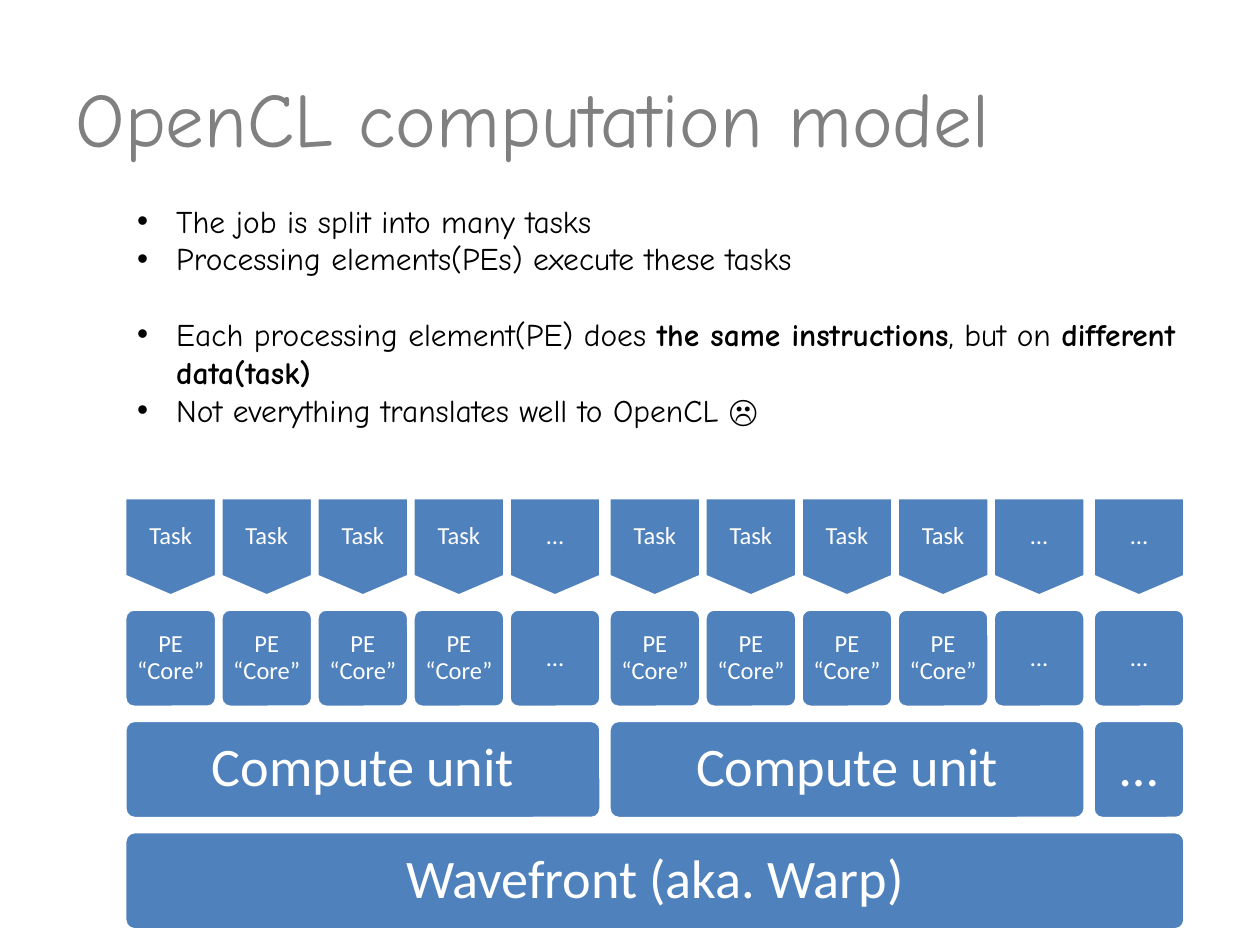
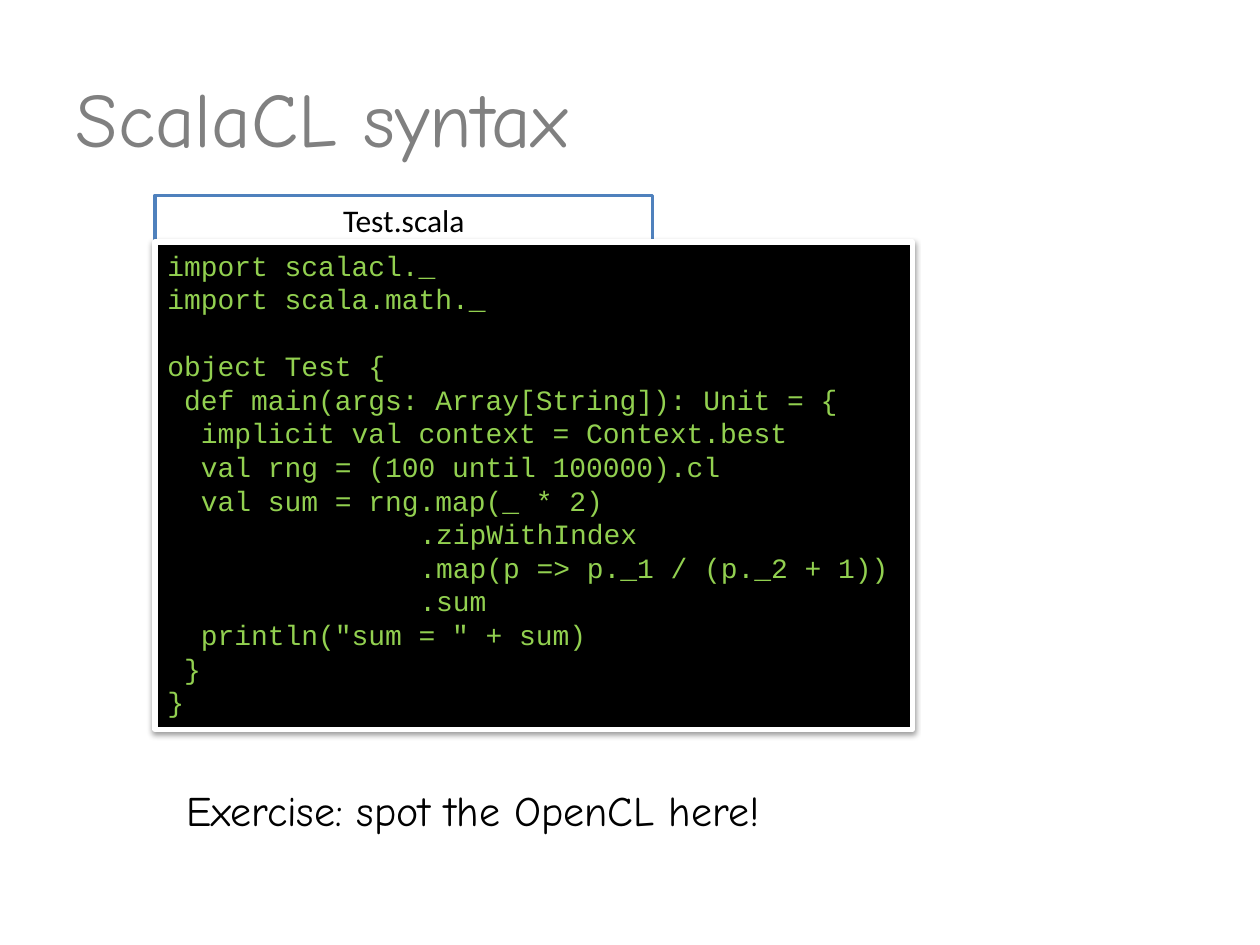
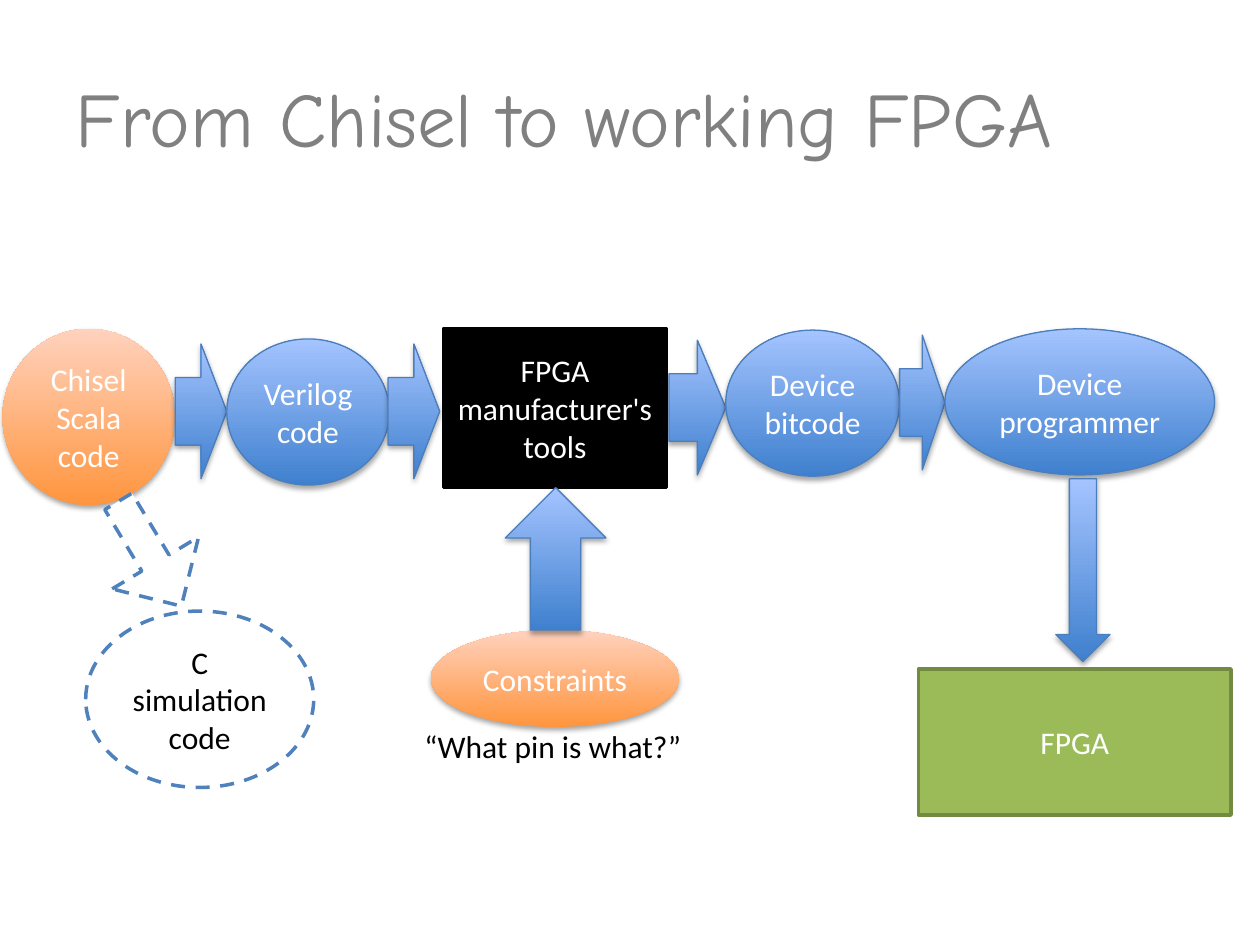
"""Build three slides on parallel and hardware programming."""
from lxml.etree import SubElement
from pptx import Presentation
from pptx.dml.color import RGBColor
from pptx.enum.dml import MSO_LINE
from pptx.enum.shapes import MSO_SHAPE as SHAPE
from pptx.enum.text import MSO_ANCHOR, MSO_AUTO_SIZE, PP_ALIGN
from pptx.oxml.ns import qn
from pptx.util import Inches, Pt

W, H = 10, 7.5
HAND, SANS, MONO = "Comic Neue", "Calibri", "Courier New"
WHITE, BLACK, GREY, BLUE = "FFFFFF", "000000", "808080", "4F81BD"
SHADOW = (35, 3.1, 1.8)

STYLES = {
    "blue": dict(fill=("3F80CE", "A4C4FF"), line="4B7EBC", width=0.75, shadow=SHADOW),
    "orange": dict(fill=("FF953E", "FFD2BD"), shadow=SHADOW),
    "black": dict(fill=BLACK, line=BLACK),
    "green": dict(fill="9BBB59", line="738A42"),
    "dashed": dict(fill=WHITE, line=BLUE, dash=True),
    "tile": dict(fill=BLUE, line=WHITE),
    "tab": dict(fill=WHITE, line=BLUE),
    "code": dict(fill=BLACK, line=WHITE, width=3, shadow=(38, 3.1, 1.6)),
}

POINTS = [
    "The job is split into many tasks",
    "Processing elements(PEs) execute these tasks",
    "",
    "Each processing element(PE) does **the same instructions**, but on **different data(task)**",
    "Not everything translates well to OpenCL \u2639",
]
TASKS = ["Task"] * 4 + ["…"]
CORES = ["PE “Core”"] * 4 + ["…"]
STACK = [
    (SHAPE.FLOWCHART_OFFPAGE_CONNECTOR, 14, [(t, 1) for t in TASKS * 2 + ["…"]]),
    (SHAPE.ROUNDED_RECTANGLE, 14, [(t, 1) for t in CORES * 2 + ["…"]]),
    (SHAPE.ROUNDED_RECTANGLE, 31, [("Compute unit", 5), ("Compute unit", 5), ("…", 1)]),
    (SHAPE.ROUNDED_RECTANGLE, 31, [("Wavefront (aka. Warp)", 11)]),
]

CODE = """import scalacl._
import scala.math._

object Test {
 def main(args: Array[String]): Unit = {
  implicit val context = Context.best
  val rng = (100 until 100000).cl
  val sum = rng.map(_ * 2)
               .zipWithIndex
               .map(p => p._1 / (p._2 + 1))
               .sum
  println("sum = " + sum)
 }
}""".split("\n")

CHAIN = [
    ("Chisel\nScala code", SHAPE.OVAL, "orange", 0.02, 2.61, 1.37, 1.4),
    ("", SHAPE.RIGHT_ARROW, "blue", 0, 2.73, 0.41, 1.07),
    ("Verilog\ncode", SHAPE.OVAL, "blue", 0, 2.69, 1.29, 1.16),
    ("", SHAPE.RIGHT_ARROW, "blue", -0.01, 2.73, 0.41, 1.07),
    ("FPGA manufacturer's\ntools", SHAPE.RECTANGLE, "black", 0.03, 2.61, 1.77, 1.26),
    ("", SHAPE.RIGHT_ARROW, "blue", 0.02, 2.7, 0.45, 1.07),
    ("Device bitcode", SHAPE.OVAL, "blue", 0, 2.62, 1.38, 1.16),
    ("", SHAPE.RIGHT_ARROW, "blue", 0, 2.66, 0.36, 1.07),
    ("Device\nprogrammer", SHAPE.OVAL, "blue", 0, 2.61, 2.14, 1.16),
]
BRANCHES = [
    ("C simulation code", SHAPE.OVAL, "dashed", (0.68, 4.85, 1.81, 1.4)),
    ("Constraints", SHAPE.OVAL, "orange", (3.42, 5, 1.97, 0.77)),
    ("", SHAPE.UP_ARROW, "blue", (4.01, 3.87, 0.8, 1.13)),
    ("", SHAPE.DOWN_ARROW, "blue", (8.38, 3.8, 0.43, 1.45)),
    ("FPGA", SHAPE.RECTANGLE, "green", (7.29, 5.31, 2.48, 1.16)),
]


def rgb(color):
    """Turn a hex string into a colour."""
    return RGBColor.from_string(color)


def write(tf, lines, size=18, font=SANS, color=BLACK, align=PP_ALIGN.LEFT,
          anchor=MSO_ANCHOR.TOP, inset=None, spacing=None, bullet=None, wrap=True):
    """Write lines; ** toggles bold, an empty line adds space, leading blanks indent."""
    tf.word_wrap, tf.vertical_anchor = wrap, anchor
    tf.auto_size = MSO_AUTO_SIZE.NONE
    if inset is not None:
        tf.margin_left = tf.margin_right = tf.margin_top = tf.margin_bottom = Inches(inset)
    p, gap = None, False
    for line in lines:
        if not line:
            gap = True
            continue
        p = tf.add_paragraph() if p is not None else tf.paragraphs[0]
        p.alignment = align
        if spacing:
            p.line_spacing = spacing
        if gap:
            p.space_before, gap = Pt(size * 1.2), False
        text = line.lstrip()
        pPr = p._p.get_or_add_pPr()
        if bullet:
            pPr.set("marL", str(Inches(0.31)))
            pPr.set("indent", str(-Inches(0.31)))
            SubElement(pPr, qn("a:buFont"), typeface="Arial")
            SubElement(pPr, qn("a:buChar"), char=bullet)
        elif text != line:
            pPr.set("marL", str(Pt((len(line) - len(text)) * size * 0.6)))
        for i, part in enumerate(text.split("**")):
            if part:
                r = p.add_run()
                r.text = part
                r.font.size, r.font.name, r.font.bold = Pt(size), font, i % 2 == 1
                r.font.color.rgb = rgb(color)


def add_text(s, box, lines, **fmt):
    """Add a text box."""
    write(s.shapes.add_textbox(*map(Inches, box)).text_frame, lines, **fmt)


def add_shape(s, kind, box, fill, line=None, width=2, dash=False, shadow=None):
    """Add a preset shape with its fill, line and shadow."""
    sp = s.shapes.add_shape(kind, *map(Inches, box))
    sp.shadow.inherit = False
    if isinstance(fill, tuple):
        sp.fill.gradient()
        sp.fill.gradient_angle = 90
        for stop, color in zip(sp.fill.gradient_stops, fill):
            stop.color.rgb = rgb(color)
    else:
        sp.fill.solid()
        sp.fill.fore_color.rgb = rgb(fill)
    if line:
        sp.line.color.rgb = rgb(line)
        sp.line.width = Pt(width)
    else:
        sp.line.fill.background()
    if dash:
        sp.line.dash_style = MSO_LINE.DASH
    if shadow:
        alpha, blur, dist = shadow
        effects = sp._element.spPr.find(qn("a:effectLst"))
        outer = SubElement(effects, qn("a:outerShdw"), blurRad=str(Pt(blur)),
                           dist=str(Pt(dist)), dir="5400000", rotWithShape="0")
        clr = SubElement(outer, qn("a:srgbClr"), val=BLACK)
        SubElement(clr, qn("a:alpha"), val=str(alpha * 1000))
    return sp


def add_node(s, text, kind, style, box, **fmt):
    """Add a styled shape with centred text."""
    sp = add_shape(s, kind, box, **STYLES[style])
    if text:
        fmt = dict(color=BLACK if style in ("dashed", "tab") else WHITE) | fmt
        write(sp.text_frame, text.split("\n"), align=PP_ALIGN.CENTER,
              anchor=MSO_ANCHOR.MIDDLE, **fmt)
    return sp


def add_slide(prs, title):
    """Add a title-only slide."""
    s = prs.slides.add_slide(prs.slide_layouts[5])
    sp = s.shapes.title
    sp.left, sp.top, sp.width, sp.height = map(Inches, (W * 0.05, H * 0.04, W * 0.9, 1.25))
    write(sp.text_frame, [title], size=44, font=HAND, color=GREY, anchor=MSO_ANCHOR.MIDDLE)
    return s


def model_slide(prs):
    """Bullets above a stack of tasks, cores, units and a wavefront."""
    s = add_slide(prs, "OpenCL computation model")
    add_text(s, (0.99, 1.55, 9.03, 1.92), POINTS, font=HAND, bullet="•")
    left, top, cell_w, cell_h = 0.99, 3.95, 0.73, 0.78
    col_step, row_step, block_gap = 0.7625, 0.8833, 0.03

    def col_left(col):
        return left + col * col_step + col // 5 * block_gap

    for row, (kind, size, cells) in enumerate(STACK):
        col = 0
        for text, span in cells:
            x = col_left(col)
            box = (x, top + row * row_step, col_left(col + span - 1) + cell_w - x, cell_h)
            sp = add_node(s, text, kind, "tile", box, size=size, spacing=0.9,
                          inset=0.06 if size < 20 else 0.13)
            if kind == SHAPE.ROUNDED_RECTANGLE:
                sp.adjustments[0] = 0.1
            col += span


def syntax_slide(prs):
    """A code listing under a file tab."""
    s = add_slide(prs, "ScalaCL syntax")
    add_node(s, "Test.scala", SHAPE.RECTANGLE, "tab", (1.23, 1.55, 3.95, 0.39))
    sp = add_shape(s, SHAPE.RECTANGLE, (1.23, 1.92, 6.01, 3.87), **STYLES["code"])
    write(sp.text_frame, CODE, size=16, font=MONO, color="92D050")
    add_text(s, (1.38, 6.18, 5.85, 0.5), ["Exercise: spot the OpenCL here!"],
             size=24, font=HAND)


def flow_slide(prs):
    """A chain of steps from source code to device, with side branches."""
    s = add_slide(prs, "From Chisel to working FPGA")
    x = 0
    for text, kind, style, gap, top, width, height in CHAIN:
        x += gap
        add_node(s, text, kind, style, (x, top, width, height))
        x += width
    sp = add_node(s, "", SHAPE.DOWN_ARROW, "dashed", (0.79, 3.91, 0.8, 0.97))
    sp.rotation = 329
    sp.adjustments[0] = 0.314
    for branch in BRANCHES:
        add_node(s, *branch)
    add_text(s, (3.27, 5.72, 2.27, 0.4), ["“What pin is what?”"], wrap=False)


def main():
    """Build and save the presentation."""
    prs = Presentation()
    prs.slide_width, prs.slide_height = Inches(W), Inches(H)
    model_slide(prs)
    syntax_slide(prs)
    flow_slide(prs)
    prs.save("out.pptx")


main()
